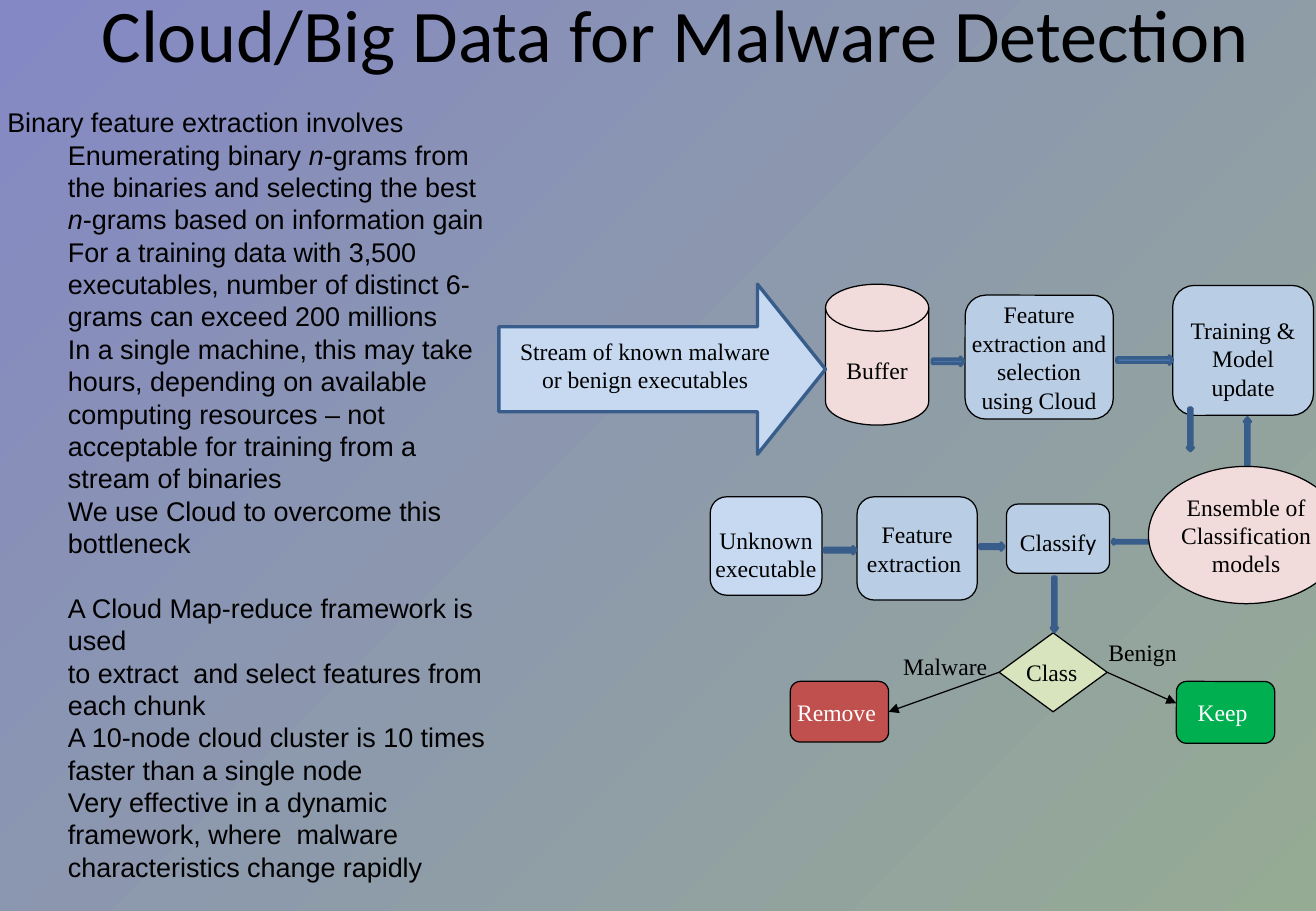
import pptx
import pptx.util
import pptx.dml.color
import pptx.enum.shapes
import pptx.enum.text
import pptx.oxml.ns
import lxml.etree

Inches = pptx.util.Inches
Pt = pptx.util.Pt
RGBColor = pptx.dml.color.RGBColor
SHAPE = pptx.enum.shapes.MSO_SHAPE
ALIGN = pptx.enum.text.PP_ALIGN
ANCHOR = pptx.enum.text.MSO_ANCHOR
qn = pptx.oxml.ns.qn

BLACK = RGBColor(0x00, 0x00, 0x00)
WHITE = RGBColor(0xFF, 0xFF, 0xFF)
VIOLET = RGBColor(0x84, 0x88, 0xC4)
SAGE = RGBColor(0x96, 0xAB, 0x94)
PINK = RGBColor(0xF2, 0xDC, 0xDB)
BLUE = RGBColor(0xB9, 0xCD, 0xE5)
PALE_BLUE = RGBColor(0xC6, 0xD9, 0xF1)
ARROW_BLUE = RGBColor(0x4F, 0x81, 0xBD)
EDGE_BLUE = RGBColor(0x38, 0x5D, 0x8A)
PALE_GREEN = RGBColor(0xD7, 0xE4, 0xBD)
RED = RGBColor(0xC0, 0x50, 0x4D)
GREEN = RGBColor(0x00, 0xB0, 0x50)

TITLE_BOX = (0.69, 0.01, 9.75, 1.25)
BODY_BOX = (-0.04, 0.82, 4.27, 6.23)
DIAGRAM_CORNER = (4.11, 2.34)

LINE_PITCH = Pt(19.2)
NEW_TOPIC = "A Cloud Map-reduce framework is used"
# Each point is a list of runs; every second run is italic
POINTS = [
    ["Binary feature extraction involves"],
    ["Enumerating binary ", "n", "-grams from the binaries and selecting the best ",
     "n", "-grams based on information gain"],
    ["For a training data with 3,500 executables, number of distinct 6-grams "
     "can exceed 200 millions"],
    ["In a single machine, this may take hours, depending on available computing "
     "resources – not acceptable for training from a stream of binaries"],
    ["We use Cloud to overcome this bottleneck"],
    [NEW_TOPIC],
    ["to extract  and select features from each chunk"],
    ["A 10-node cloud cluster is 10 times faster than a single node"],
    ["Very effective in a dynamic framework, where  malware characteristics change rapidly"],
]

# Diagram boxes, measured from the diagram corner:
# name: (preset, box, fill, text, top inset, anchor)
ROUND = SHAPE.ROUNDED_RECTANGLE
NODES = {
    "buffer": (SHAPE.FLOWCHART_MAGNETIC_DISK, (2.69, 0, 0.85, 1.16), PINK,
               "Buffer", 0.2, ANCHOR.TOP),
    "selection": (ROUND, (3.84, 0.09, 1.22, 1.02), BLUE,
                  "Feature extraction and selection using Cloud", 0, ANCHOR.MIDDLE),
    "training": (ROUND, (5.55, 0.01, 1.16, 1.07), BLUE,
                 "Training & Model update", 0.2, ANCHOR.TOP),
    "unknown": (ROUND, (1.74, 1.75, 0.92, 0.81), PALE_BLUE,
                "Unknown executable", 0.2, ANCHOR.TOP),
    "extraction": (ROUND, (2.95, 1.75, 0.99, 0.85), BLUE,
                   "Feature extraction ", 0, ANCHOR.MIDDLE),
    "classify": (ROUND, (4.18, 1.81, 0.85, 0.57), BLUE, "Classif", 0.05, ANCHOR.MIDDLE),
    "class": (SHAPE.FLOWCHART_DECISION, (4.12, 2.87, 0.89, 0.65), PALE_GREEN,
              "Class", 0, ANCHOR.MIDDLE),
    "remove": (ROUND, (2.4, 3.27, 0.81, 0.5), RED, "Remove ", 0, ANCHOR.MIDDLE),
    "keep": (ROUND, (5.58, 3.27, 0.81, 0.51), GREEN, "Keep ", 0, ANCHOR.MIDDLE),
}
ENSEMBLE = (SHAPE.OVAL, (5.35, 1.5, 1.61, 1.13), PINK,
            "Ensemble of Classification models", 0, ANCHOR.MIDDLE)
STREAM = (SHAPE.RIGHT_ARROW, (0, 0, 2.69, 1.4), PALE_BLUE,
          "Stream of known malware or benign executables", 0.2, ANCHOR.MIDDLE)
# Small block arrows: (preset, box, head length)
BLOCK_ARROWS = [
    (SHAPE.RIGHT_ARROW, (3.57, 0.6, 0.26, 0.07), 0.4),
    (SHAPE.RIGHT_ARROW, (5.09, 0.59, 0.46, 0.07), 0.4),
    (SHAPE.DOWN_ARROW, (4.55, 2.41, 0.05, 0.45), 0.63),
    (SHAPE.UP_ARROW, (6.14, 1.1, 0.05, 0.58), 0.63),
    (SHAPE.RIGHT_ARROW, (2.68, 2.16, 0.26, 0.06), 0.4),
    (SHAPE.RIGHT_ARROW, (3.96, 2.13, 0.2, 0.06), 0.4),
    (SHAPE.LEFT_ARROW, (5.05, 2.1, 0.42, 0.04), 0.4),
    (SHAPE.DOWN_ARROW, (5.67, 1.02, 0.05, 0.35), 0.5),
]
LABELS = [("Benign", (5.02, 2.91, 0.78, 0.5)), ("Malware", (3.33, 3.03, 0.8, 0.27))]


def set_font(font, name, size, color):
    font.name, font.size = name, Pt(size)
    font.color.rgb = color


def move(shape, box):
    shape.left, shape.top, shape.width, shape.height = map(Inches, box)


def set_margins(frame, left, top, right, bottom):
    frame.margin_left, frame.margin_top = Inches(left), Inches(top)
    frame.margin_right, frame.margin_bottom = Inches(right), Inches(bottom)


def place(corner, box):
    """Lengths of a box that is measured from a corner."""
    left, top, width, height = box
    return [Inches(n) for n in (corner[0] + left, corner[1] + top, width, height)]


def write_title(title, box):
    move(title, box)
    frame = title.text_frame
    frame.auto_size = pptx.enum.text.MSO_AUTO_SIZE.NONE
    frame.vertical_anchor = ANCHOR.MIDDLE
    set_margins(frame, 0.1, 0.05, 0.1, 0.78)
    para = frame.paragraphs[0]
    para.text = "Cloud/Big Data for Malware Detection"
    para.alignment = ALIGN.CENTER
    set_font(para.font, "Calibri", 44, BLACK)


def write_points(body, box):
    move(body, box)
    frame = body.text_frame
    frame.auto_size = pptx.enum.text.MSO_AUTO_SIZE.NONE
    frame.vertical_anchor = ANCHOR.TOP
    set_margins(frame, 0.1, 0.05, 0.1, 0.05)
    for index, runs in enumerate(POINTS):
        para = frame.add_paragraph() if index else frame.paragraphs[0]
        para.level = min(index, 1)
        props = para._p.get_or_add_pPr()
        props.set("marL", str(Inches(0.5 * para.level)))
        props.set("indent", "0")
        lxml.etree.SubElement(props, qn("a:buNone"))
        para.alignment = ALIGN.LEFT
        para.line_spacing = LINE_PITCH
        para.space_before = LINE_PITCH if runs[0] == NEW_TOPIC else Pt(0)
        set_font(para.font, "Arial", 16, BLACK)
        for number, text in enumerate(runs):
            span = para.add_run()
            span.text = text
            if number % 2:
                span.font.italic = True


def add_solid(page, preset, lengths, fill, edge, weight):
    shape = page.shapes.add_shape(preset, *lengths)
    shape.shadow.inherit = False
    shape.fill.solid()
    shape.fill.fore_color.rgb = fill
    shape.line.color.rgb = edge
    shape.line.width = Pt(weight)
    return shape


def write_text(shape, text, color=BLACK, alignment=ALIGN.CENTER):
    frame = shape.text_frame
    frame.word_wrap = True
    para = frame.paragraphs[0]
    para.text = text
    para.alignment = alignment
    set_font(para.font, "Times New Roman", 14, color)


def add_node(page, corner, node, edge=BLACK, weight=0.75):
    preset, box, fill, text, inset, anchor = node
    shape = add_solid(page, preset, place(corner, box), fill, edge, weight)
    set_margins(shape.text_frame, 0, inset, 0, 0)
    shape.text_frame.vertical_anchor = anchor
    write_text(shape, text, WHITE if fill in (RED, GREEN) else BLACK,
               ALIGN.LEFT if preset == SHAPE.FLOWCHART_DECISION else ALIGN.CENTER)
    return shape


def add_line_arrow(page, source, side, end):
    line = page.shapes.add_connector(pptx.enum.shapes.MSO_CONNECTOR.STRAIGHT, 0, 0, *end)
    line.begin_connect(source, side)
    line.line.color.rgb = BLACK
    line.line.width = Pt(0.75)
    lxml.etree.SubElement(line.line._get_or_add_ln(), qn("a:tailEnd"), type="triangle")
    lxml.etree.SubElement(line._element.spPr, qn("a:effectLst"))
    return line


def draw_diagram(page, corner):
    # Process boxes
    nodes = {name: add_node(page, corner, node) for name, node in NODES.items()}
    last_letter = nodes["classify"].text_frame.paragraphs[0].add_run()
    last_letter.text = "y"
    last_letter.font.name = "Calibri"

    # Incoming stream
    stream = add_node(page, corner, STREAM, EDGE_BLUE, 2)
    stream.adjustments[1] = 0.4
    set_margins(stream.text_frame, 0.1, 0.2, 0.1, 0.27)

    # Block arrows, with the ensemble on top
    for preset, box, head in BLOCK_ARROWS:
        arrow = add_solid(page, preset, place(corner, box), ARROW_BLUE, EDGE_BLUE, 2)
        arrow.adjustments[1] = head
    add_node(page, corner, ENSEMBLE)

    # Verdict lines and their labels
    remove, keep = nodes["remove"], nodes["keep"]
    to_remove = add_line_arrow(page, nodes["class"], 1, (remove.left, remove.top))
    to_remove.end_connect(remove, 3)
    add_line_arrow(page, nodes["class"], 3, (keep.left, keep.top + Inches(0.18)))
    for text, box in LABELS:
        label = page.shapes.add_textbox(*place(corner, box))
        set_margins(label.text_frame, 0, 0, 0, 0)
        write_text(label, text, alignment=ALIGN.LEFT)


def main():
    deck = pptx.Presentation()
    deck.slide_width, deck.slide_height = Inches(10.84), Inches(7.5)
    page = deck.slides.add_slide(deck.slide_layouts[1])
    backdrop = page.background.fill
    backdrop.gradient()
    backdrop.gradient_angle = 315
    for stop, color in zip(backdrop.gradient_stops, (VIOLET, SAGE)):
        stop.color.rgb = color
    write_title(page.shapes.title, TITLE_BOX)
    draw_diagram(page, DIAGRAM_CORNER)
    write_points(page.placeholders[1], BODY_BOX)
    deck.save("out.pptx")


if __name__ == "__main__":
    main()
